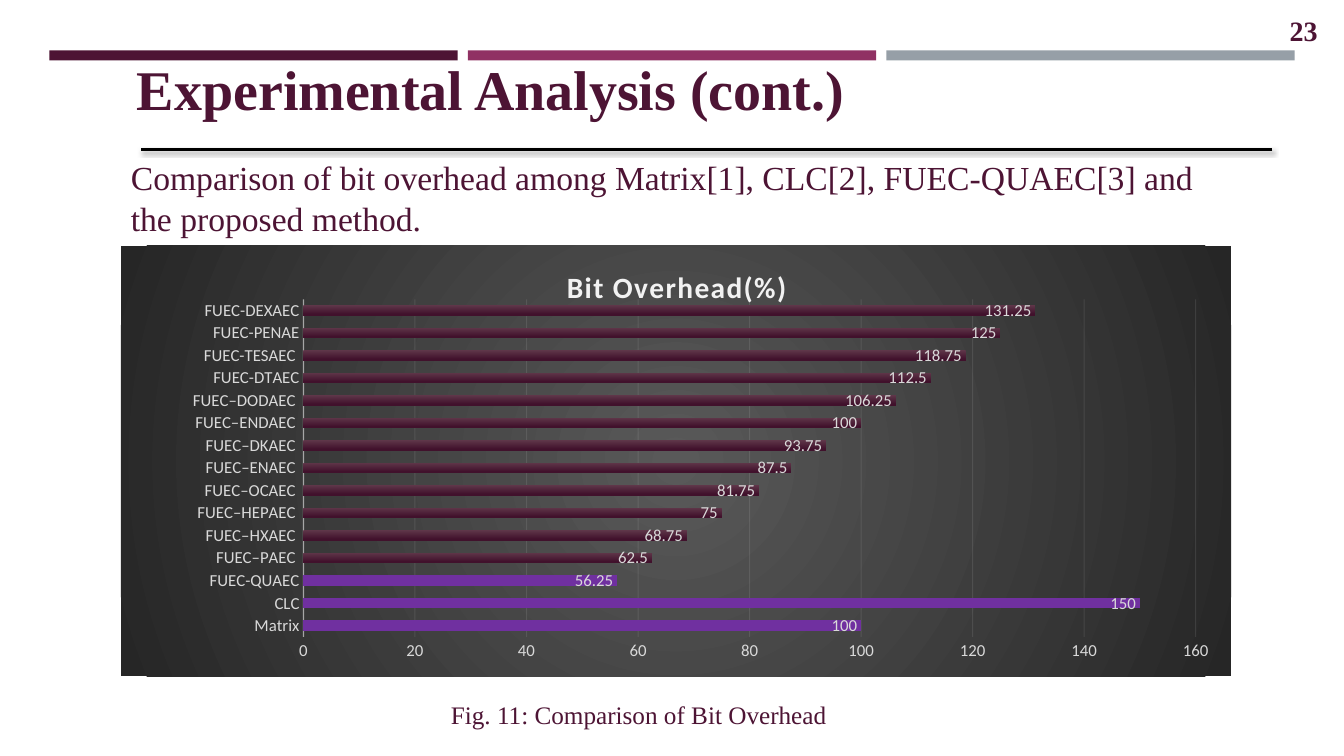
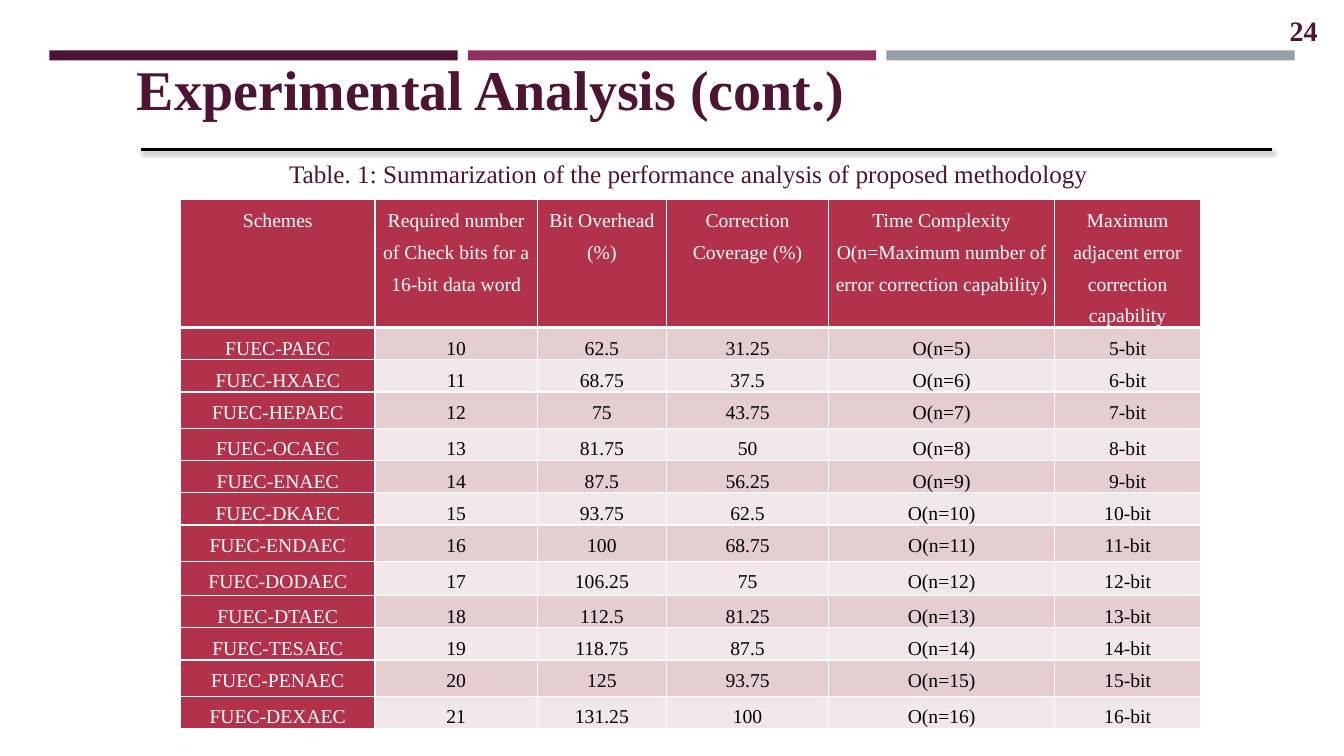
"""Build two slides on the experimental analysis of error correction schemes."""
from dataclasses import dataclass

from lxml.etree import SubElement
from pptx import Presentation
from pptx.chart.chart import Chart
from pptx.chart.data import CategoryChartData
from pptx.dml.color import RGBColor
from pptx.dml.line import LineFormat
from pptx.enum.chart import XL_CHART_TYPE, XL_LABEL_POSITION, XL_TICK_MARK
from pptx.enum.shapes import MSO_CONNECTOR, MSO_SHAPE
from pptx.enum.text import MSO_ANCHOR, PP_ALIGN
from pptx.oxml import parse_xml
from pptx.oxml.ns import nsdecls, qn
from pptx.slide import Slide
from pptx.table import _Cell
from pptx.text.text import Font
from pptx.util import Inches, Pt

SERIF = "Times New Roman"
SANS = "Calibri"
PLUM = RGBColor(0x4D, 0x14, 0x34)
MAGENTA = RGBColor(0x90, 0x31, 0x63)
STEEL = RGBColor(0x96, 0x9F, 0xA7)
BLACK = RGBColor(0x00, 0x00, 0x00)
WHITE = RGBColor(0xFF, 0xFF, 0xFF)
CRIMSON = RGBColor(0xB2, 0x32, 0x4B)
ROSE = RGBColor(0xE4, 0xCE, 0xD0)
PALE_ROSE = RGBColor(0xF2, 0xE8, 0xE9)
VIOLET = RGBColor(0x70, 0x30, 0xA0)
BAR_TOP = RGBColor(0x5F, 0x36, 0x49)
BAR_BOTTOM = RGBColor(0x41, 0x11, 0x2C)
CHART_CENTRE = RGBColor(0x59, 0x59, 0x59)
CHART_EDGE = RGBColor(0x26, 0x26, 0x26)
CHART_TEXT = RGBColor(0xD9, 0xD9, 0xD9)
CHART_LINE = RGBColor(0xF2, 0xF2, 0xF2)

BANDS = (PLUM, MAGENTA, STEEL)
TITLE = "Experimental Analysis (cont.)"
CHART_WIDTH, CHART_HEIGHT = 11.01, 4.27
EARLIER_METHODS = (("Matrix", 100), ("CLC", 150), ("FUEC-QUAEC", 56.25))
PROPOSED_LABELS = (
    "FUEC–PAEC ", "FUEC–HXAEC ", "FUEC–HEPAEC ", "FUEC–OCAEC ",
    "FUEC–ENAEC ", "FUEC–DKAEC ", "FUEC–ENDAEC ", "FUEC–DODAEC ",
    "FUEC-DTAEC", "FUEC-TESAEC ", "FUEC-PENAE", "FUEC-DEXAEC",
)
SCHEMES = ("PAEC", "HXAEC", "HEPAEC", "OCAEC", "ENAEC", "DKAEC",
           "ENDAEC", "DODAEC", "DTAEC", "TESAEC", "PENAEC", "DEXAEC")
OVERHEADS = (62.5, 68.75, 75, 81.75, 87.5, 93.75,
             100, 106.25, 112.5, 118.75, 125, 131.25)
HEADINGS = (
    "Schemes",
    "Required number of Check bits for a 16-bit data word",
    "Bit Overhead (%)",
    "Correction Coverage (%)",
    "Time Complexity O(n=Maximum number of error correction capability)",
    "Maximum adjacent error correction capability",
)
COLUMN_WIDTHS = (1.93, 1.61, 1.28, 1.61, 2.24, 1.45)
ROW_HEIGHTS = (1.27, 0.32, 0.32, 0.36, 0.32, 0.32, 0.32,
               0.36, 0.34, 0.32, 0.32, 0.36, 0.32)


@dataclass(frozen=True)
class TextBlock:
    """A single-paragraph text box, with lengths in inches."""

    text: str
    left: float
    top: float
    width: float
    height: float
    size: float
    bold: bool = False
    align: PP_ALIGN = PP_ALIGN.LEFT
    anchor: MSO_ANCHOR = MSO_ANCHOR.TOP
    line_spacing: float = 1.0
    space_before: float = 0


def style_font(font: Font, name: str, size: float, color: RGBColor,
               bold: bool = False) -> None:
    """Set the face, size, colour and weight of a font."""
    font.name, font.size, font.bold = name, Pt(size), bold
    font.color.rgb = color


def add_text(page: Slide, block: TextBlock) -> None:
    """Place one text block on the page."""
    box = page.shapes.add_textbox(Inches(block.left), Inches(block.top),
                                  Inches(block.width), Inches(block.height))
    frame = box.text_frame
    frame.text = block.text
    frame.word_wrap = True
    frame.vertical_anchor = block.anchor
    para = frame.paragraphs[0]
    para.alignment = block.align
    para.line_spacing = block.line_spacing
    para.space_before = Pt(block.space_before)
    style_font(para.runs[0].font, SERIF, block.size, PLUM, block.bold)


def add_rule(page: Slide) -> None:
    """Draw the shadowed line under the title."""
    rule = page.shapes.add_connector(MSO_CONNECTOR.STRAIGHT, Inches(12.62),
                                     Inches(1.48), Inches(1.4), Inches(1.48))
    rule.line.color.rgb = BLACK
    rule.line.width = Pt(2)
    effects = SubElement(rule._element.spPr, qn("a:effectLst"))
    shadow = SubElement(effects, qn("a:outerShdw"), blurRad=str(Pt(3)),
                        dist=str(Pt(2)), dir="5400000", rotWithShape="0")
    shade = SubElement(shadow, qn("a:srgbClr"), val=str(BLACK))
    SubElement(shade, qn("a:alpha"), val="55000")


def add_page(deck: Presentation, number: int) -> Slide:
    """Add a page with the bands, title, rule and page number."""
    page = deck.slides.add_slide(deck.slide_layouts[6])
    for index, color in enumerate(BANDS):
        band = page.shapes.add_shape(
            MSO_SHAPE.RECTANGLE, Inches(0.49 + 4.15 * index), Inches(0.5),
            Inches(4.05), Inches(0.1))
        band.shadow.inherit = False
        band.fill.solid()
        band.fill.fore_color.rgb = color
        band.line.fill.background()
    add_text(page, TextBlock(TITLE, 1.26, 0.54, 11.81, 0.76, 40, bold=True,
                             anchor=MSO_ANCHOR.MIDDLE, line_spacing=0.9))
    add_text(page, TextBlock(str(number), 12.52, 0, 0.82, 0.53, 20, bold=True,
                             align=PP_ALIGN.CENTER, anchor=MSO_ANCHOR.MIDDLE,
                             line_spacing=1.2, space_before=10))
    add_rule(page)
    return page


def gradient_xml(first: RGBColor, last: RGBColor, end: int, shade: str) -> str:
    """Return a two-stop gradient fill whose last stop is at end percent."""
    return (f'<a:gradFill {nsdecls("a")} rotWithShape="1"><a:gsLst>'
            f'<a:gs pos="0"><a:srgbClr val="{first}"/></a:gs>'
            f'<a:gs pos="{end * 1000}"><a:srgbClr val="{last}"/></a:gs>'
            f'</a:gsLst>{shade}</a:gradFill>')


def manual_layout(target: str, **inches: float):
    """Return a chart layout element from lengths in inches."""
    modes = "".join(f'<c:{key}Mode val="edge"/>' for key in ("x", "y"))
    values = "".join(
        f'<c:{key} val="{value / (CHART_WIDTH if key in "xw" else CHART_HEIGHT)}"/>'
        for key, value in inches.items())
    return parse_xml(f'<c:layout {nsdecls("c")}><c:manualLayout>{target}{modes}'
                     f'{values}</c:manualLayout></c:layout>')


def style_line(line: LineFormat, width: float, opacity: int) -> None:
    """Give a chart line its colour, width and opacity in percent."""
    line.color.rgb = CHART_LINE
    line.width = Pt(width)
    for color in line._get_or_add_ln().iter(qn("a:srgbClr")):
        SubElement(color, qn("a:alpha"), val=str(opacity * 1000))


def style_axes(chart: Chart) -> None:
    """Format both axes and the grid."""
    for axis in (chart.category_axis, chart.value_axis):
        axis.major_tick_mark = axis.minor_tick_mark = XL_TICK_MARK.NONE
        style_font(axis.tick_labels.font, SANS, 12, CHART_TEXT)
    style_line(chart.category_axis.format.line, 1, 54)
    values = chart.value_axis
    values.minimum_scale, values.maximum_scale, values.major_unit = 0, 160, 20
    values.format.line.fill.background()
    style_line(values.major_gridlines.format.line, 0.75, 10)


def style_bars(chart: Chart) -> None:
    """Format the bars and their value labels."""
    plot = chart.plots[0]
    plot.gap_width, plot.overlap, plot.vary_by_categories = 115, -20, False
    plot.has_data_labels = True
    labels = plot.data_labels
    labels.show_value = True
    labels.position = XL_LABEL_POSITION.INSIDE_END
    style_font(labels.font, SANS, 12, CHART_TEXT)
    series = plot.series[0]
    series.invert_if_negative = False
    bar_fill = gradient_xml(BAR_TOP, BAR_BOTTOM, 84,
                            '<a:lin ang="5400000" scaled="0"/>')
    series._element.get_or_add_spPr().insert(0, parse_xml(bar_fill))
    for index in range(len(EARLIER_METHODS)):
        fill = series.points[index].format.fill
        fill.solid()
        fill.fore_color.rgb = VIOLET


def style_title(chart: Chart) -> None:
    """Write and place the chart title."""
    chart.has_title = True
    title = chart.chart_title
    title.text_frame.text = "Bit Overhead(%)"
    span = title.text_frame.paragraphs[0].runs[0]
    style_font(span.font, SANS, 21, CHART_LINE, bold=True)
    span._r.get_or_add_rPr().set("spc", "100")
    for layout in title._element.findall(qn("c:layout")):
        title._element.remove(layout)
    title._element.find(qn("c:tx")).addnext(manual_layout("", x=4.37, y=0.15))


def add_overhead_chart(page: Slide) -> None:
    """Add the bar chart comparing bit overheads."""
    bars = EARLIER_METHODS + tuple(zip(PROPOSED_LABELS, OVERHEADS))
    data = CategoryChartData()
    data.categories = [label for label, _ in bars]
    data.add_series("Series 1", [value for _, value in bars])
    chart = page.shapes.add_chart(XL_CHART_TYPE.BAR_CLUSTERED, Inches(1.2),
                                  Inches(2.44), Inches(CHART_WIDTH),
                                  Inches(CHART_HEIGHT), data).chart
    chart.has_legend = False
    style_font(chart.font, SANS, 10, BLACK)
    style_title(chart)
    style_axes(chart)
    style_bars(chart)
    space = chart._chartSpace
    area = next(space.iter(qn("c:plotArea")))
    for layout in area.findall(qn("c:layout")):
        area.remove(layout)
    area.insert(0, manual_layout('<c:layoutTarget val="inner"/>',
                                 x=1.81, y=0.53, w=8.85, h=3.35))
    backdrop = gradient_xml(
        CHART_CENTRE, CHART_EDGE, 100,
        '<a:path path="circle"><a:fillToRect l="50000" t="50000" r="50000" '
        'b="50000"/></a:path>')
    space.find(qn("c:chart")).addnext(parse_xml(
        f'<c:spPr {nsdecls("c", "a")}>{backdrop}<a:ln><a:noFill/></a:ln></c:spPr>'))


def style_cell(cell: _Cell, text: str, fill: RGBColor, color: RGBColor,
               top: float, bottom: float) -> None:
    """Fill one table cell and draw its white borders."""
    properties = cell._tc.get_or_add_tcPr()
    for side, width in (("L", 1), ("R", 1), ("T", top), ("B", bottom)):
        border = SubElement(properties, qn(f"a:ln{side}"), w=str(Pt(width)))
        paint = SubElement(border, qn("a:solidFill"))
        SubElement(paint, qn("a:srgbClr"), val=str(WHITE))
    cell.fill.solid()
    cell.fill.fore_color.rgb = fill
    cell.margin_left = cell.margin_right = Inches(0.07)
    cell.margin_top = cell.margin_bottom = 0
    cell.text_frame.text = text
    para = cell.text_frame.paragraphs[0]
    para.alignment = PP_ALIGN.CENTER
    para.line_spacing = Pt(22.8)
    style_font(para.runs[0].font, SERIF, 14, color)


def add_summary_table(page: Slide) -> None:
    """Add the table of scheme performance."""
    rows = [HEADINGS]
    for index, (scheme, overhead) in enumerate(zip(SCHEMES, OVERHEADS)):
        errors = index + 5
        rows.append((f"FUEC-{scheme}", str(index + 10), f"{overhead:g}",
                     f"{errors * 6.25:g}", f"O(n={errors})", f"{errors}-bit"))
    table = page.shapes.add_table(
        len(rows), len(HEADINGS), Inches(1.79), Inches(1.98),
        Inches(sum(COLUMN_WIDTHS)), Inches(sum(ROW_HEIGHTS))).table
    table.first_row = table.horz_banding = False
    for column, width in zip(table.columns, COLUMN_WIDTHS):
        column.width = Inches(width)
    for row_index, (row, height) in enumerate(zip(rows, ROW_HEIGHTS)):
        table.rows[row_index].height = Inches(height)
        for column_index, text in enumerate(row):
            heading = row_index == 0 or column_index == 0
            band = ROSE if row_index % 2 else PALE_ROSE
            style_cell(table.cell(row_index, column_index), text,
                       CRIMSON if heading else band,
                       WHITE if heading else BLACK,
                       3 if row_index == 1 else 1, 3 if row_index == 0 else 1)


def main() -> None:
    """Build and save the deck."""
    deck = Presentation()
    deck.slide_width, deck.slide_height = Inches(13.33), Inches(7.5)
    chart_page = add_page(deck, 23)
    add_text(chart_page, TextBlock(
        "Comparison of bit overhead among Matrix[1], CLC[2], FUEC-QUAEC[3] "
        "and the proposed method.", 1.2, 1.51, 11.13, 0.91, 24))
    add_overhead_chart(chart_page)
    add_text(chart_page, TextBlock("Fig. 11: Comparison of Bit Overhead", 2.95,
                                   6.89, 6.77, 0.4, 18, align=PP_ALIGN.CENTER))
    table_page = add_page(deck, 24)
    add_summary_table(table_page)
    add_text(table_page, TextBlock(
        "Table. 1: Summarization of the performance analysis of proposed "
        "methodology", 1.9, 1.52, 9.86, 0.4, 18, align=PP_ALIGN.CENTER))
    deck.save("out.pptx")


if __name__ == "__main__":
    main()
